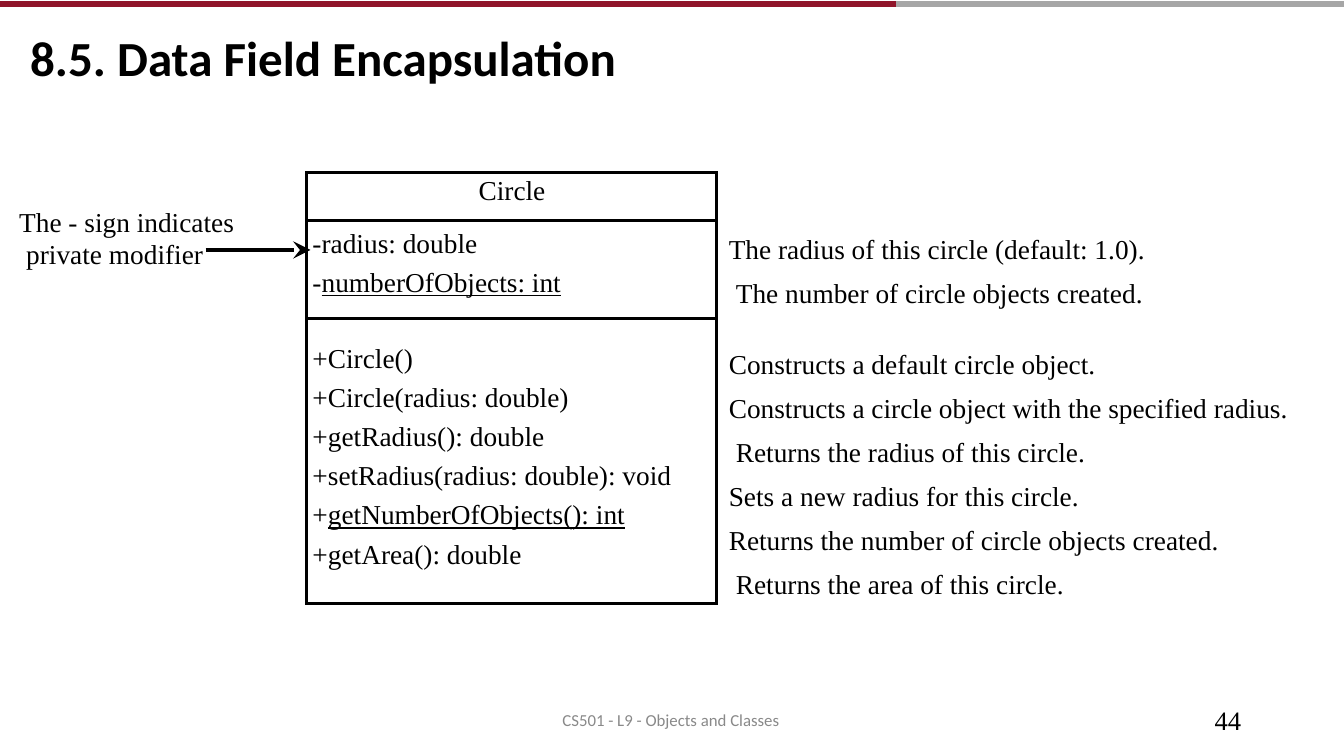
from dataclasses import dataclass

from lxml.etree import SubElement
from pptx import Presentation
from pptx.dml.color import RGBColor
from pptx.enum.shapes import MSO_CONNECTOR
from pptx.enum.text import PP_ALIGN
from pptx.oxml.ns import qn
from pptx.util import Inches, Pt

# Slide grid: 40 columns by 30 rows
SLIDE_WIDTH, SLIDE_HEIGHT = Inches(13.33), Inches(7.5)
COLUMNS, ROWS = 40, 30
BLACK, CRIMSON, SILVER, GRAY = "000000", "90152A", "A6A6A6", "898989"
SERIF = {"name": "Times New Roman", "size": Pt(19.5)}
MEMBER_GAP, NOTE_GAP = 6.4, 8.1


@dataclass(frozen=True)
class Line:
    text: str
    underlined: str = ""
    indent: float = 0.01
    before: float = 0
    align: PP_ALIGN = PP_ALIGN.LEFT
    spacing: float | None = None


@dataclass(frozen=True)
class Block:
    column: float
    row: float
    width: float
    height: float
    lines: list[Line]
    font: dict
    inset: float = 0
    color: str = BLACK


@dataclass(frozen=True)
class Rule:
    start: float
    end: float
    row: float
    color: str
    weight: float
    arrow: bool = False


@dataclass(frozen=True)
class Compartment:
    height: float
    inset: float
    lines: list[Line]


def across(columns: float) -> int:
    return round(SLIDE_WIDTH * columns / COLUMNS)


def down(rows: float) -> int:
    return round(SLIDE_HEIGHT * rows / ROWS)


def rgb(color: str) -> RGBColor:
    return RGBColor.from_string(color)


def apply(target, values: dict) -> None:
    for name, value in values.items():
        setattr(target, name, value)


def write(frame, lines: list[Line], font: dict, color: str) -> None:
    for index, line in enumerate(lines):
        para = frame.paragraphs[0] if index == 0 else frame.add_paragraph()
        apply(para, {"alignment": line.align, "space_before": Pt(line.before if index else 0)})
        if line.spacing:
            para.line_spacing = Pt(line.spacing)
        para._p.get_or_add_pPr().set("marL", str(Inches(line.indent)))
        for text, underline in ((line.text, False), (line.underlined, True)):
            if text:
                span = para.add_run()
                span.text = text
                apply(span.font, font | {"underline": underline})
                span.font.color.rgb = rgb(color)


def add_block(page, block: Block) -> None:
    box = page.shapes.add_textbox(across(block.column), down(block.row),
                                  across(block.width), down(block.height))
    apply(box.text_frame, {"word_wrap": True, "margin_left": 0, "margin_right": 0,
                           "margin_top": Inches(block.inset), "margin_bottom": 0})
    write(box.text_frame, block.lines, block.font, block.color)


def add_rule(page, rule: Rule) -> None:
    connector = page.shapes.add_connector(MSO_CONNECTOR.STRAIGHT, across(rule.start),
                                          down(rule.row), across(rule.end), down(rule.row))
    connector.line.color.rgb = rgb(rule.color)
    connector.line.width = Pt(rule.weight)
    if rule.arrow:
        SubElement(connector.line._get_or_add_ln(), qn("a:tailEnd"),
                   type="stealth", w="lg", len="lg")
    SubElement(connector._element.spPr, qn("a:effectLst"))


def outline(cell, color: str, weight: float) -> None:
    properties = cell._tc.get_or_add_tcPr()
    for index, side in enumerate(("a:lnL", "a:lnR", "a:lnT", "a:lnB")):
        border = properties.makeelement(qn(side), {"w": str(Pt(weight))})
        fill = SubElement(border, qn("a:solidFill"))
        SubElement(fill, qn("a:srgbClr"), val=color)
        properties.insert(index, border)


def add_class_table(page, column: float, row: float, width: float,
                    parts: list[Compartment]) -> None:
    table = page.shapes.add_table(len(parts), 1, across(column), down(row), across(width),
                                  down(sum(part.height for part in parts))).table
    apply(table, {"first_row": False, "horz_banding": False})
    for index, part in enumerate(parts):
        table.rows[index].height = down(part.height)
        cell = table.cell(index, 0)
        apply(cell, {"margin_left": 0, "margin_right": 0,
                     "margin_top": Inches(part.inset), "margin_bottom": 0})
        cell.fill.background()
        outline(cell, BLACK, 2.25)
        write(cell.text_frame, part.lines, SERIF, BLACK)


def member(text: str, underlined: str = "") -> Line:
    return Line(text, underlined, indent=0.06, before=MEMBER_GAP)


def note(text: str, indent: float = 0.01) -> Line:
    return Line(text, indent=indent, before=NOTE_GAP)


# Class diagram
CIRCLE_CLASS = [
    Compartment(1.92, 0.04, [Line("Circle", align=PP_ALIGN.CENTER)]),
    Compartment(3.88, 0.08, [member("-radius: double"),
                             member("-", "numberOfObjects: int")]),
    Compartment(11.32, 0.25, [member("+Circle()"),
                              member("+Circle(radius: double)"),
                              member("+getRadius(): double"),
                              member("+setRadius(radius: double): void"),
                              member("+", "getNumberOfObjects(): int"),
                              member("+getArea(): double")]),
]

# Descriptions, callout, title and footer
BLOCKS = [
    Block(21.66, 8.68, 12.6, 3.44, [
        note("The radius of this circle (default: 1.0)."),
        note("The number of circle objects created.", 0.08)], SERIF, 0.13),
    Block(21.66, 13.24, 17.2, 10.08, [
        note("Constructs a default circle object."),
        note("Constructs a circle object with the specified radius."),
        note("Returns the radius of this circle.", 0.08),
        note("Sets a new radius for this circle."),
        note("Returns the number of circle objects created."),
        note("Returns the area of this circle.", 0.08)], SERIF, 0.13),
    Block(0.54, 8.04, 6.9, 2.68, [
        Line("The - sign indicates", spacing=22.6),
        Line("private modifier", indent=0.08, spacing=22.6)], SERIF, 0.04),
    Block(0.87, 1.04, 18, 2.44, [Line("8.5. Data Field Encapsulation")],
          {"name": "Calibri", "size": Pt(35), "bold": True}, 0.01),
    Block(36.03, 28, 1.08, 1.28, [Line("44", indent=0.04, spacing=21.8)],
          SERIF | {"size": Pt(19)}),
    Block(16.71, 28.12, 6.8, 0.92, [Line("CS501 - L9 - Objects and Classes")],
          {"name": "Calibri", "size": Pt(12)}, 0.01, GRAY),
]

# Callout arrow and top band
RULES = [
    Rule(6.12, 9.24, 9.92, BLACK, 2.5, arrow=True),
    Rule(26.67, COLUMNS, 0.16, SILVER, 4),
    Rule(0, 26.67, 0.16, CRIMSON, 4),
]


def main() -> None:
    deck = Presentation()
    apply(deck, {"slide_width": SLIDE_WIDTH, "slide_height": SLIDE_HEIGHT})
    page = deck.slides.add_slide(deck.slide_layouts[6])
    add_class_table(page, 9.12, 6.84, 12.21, CIRCLE_CLASS)
    for block in BLOCKS:
        add_block(page, block)
    for rule in RULES:
        add_rule(page, rule)
    deck.save("out.pptx")


if __name__ == "__main__":
    main()
